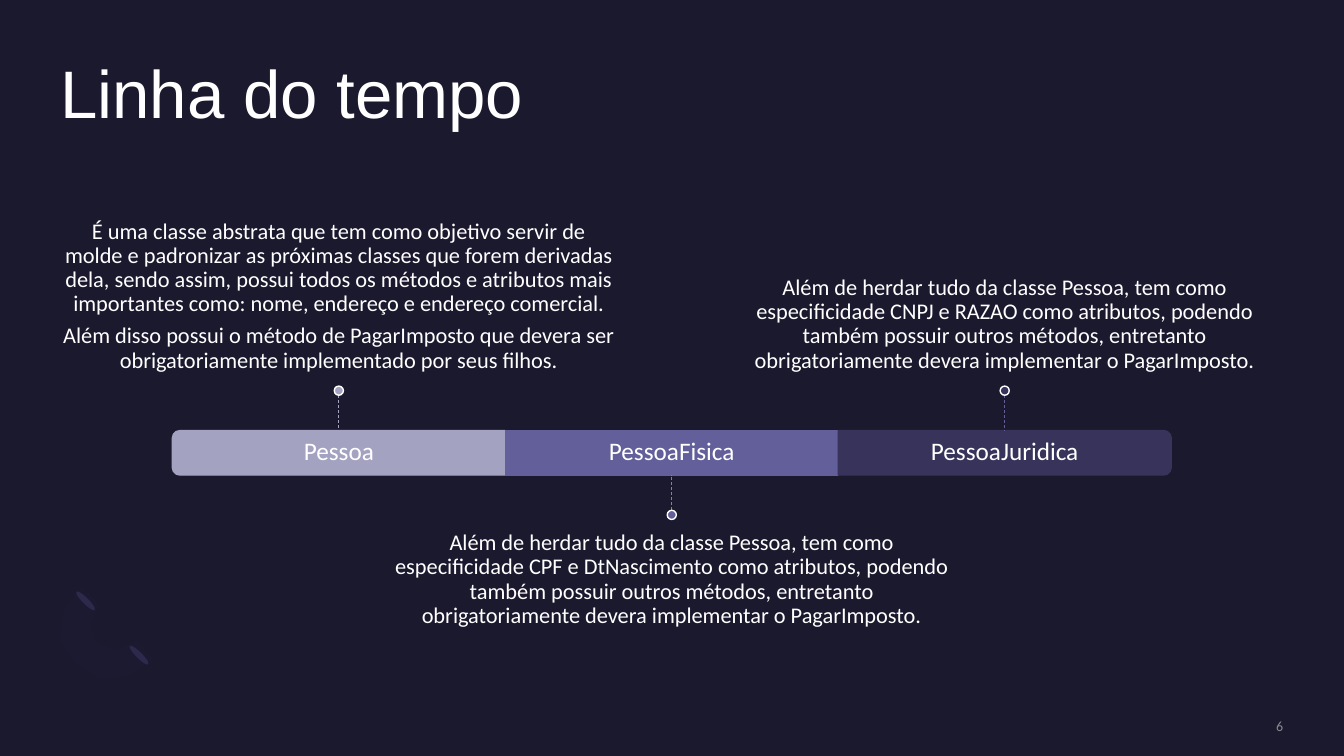
from lxml import etree
from pptx import Presentation
from pptx.dml.color import RGBColor
from pptx.enum import dml, shapes, text
from pptx.oxml import ns
from pptx.util import Cm, Pt

NAVY = RGBColor(0x1B, 0x19, 0x2E)
WHITE = RGBColor(0xFF, 0xFF, 0xFF)
GREY = RGBColor(0x8A, 0x8A, 0x8E)
LAVENDER = RGBColor(0xA3, 0xA3, 0xC1)
LILAC = RGBColor(0x81, 0x81, 0xAE)
VIOLET = RGBColor(0x62, 0x5F, 0x9A)
INDIGO = RGBColor(0x37, 0x33, 0x5B)
PETAL = RGBColor(0x2C, 0x28, 0x4A)
HAZE = RGBColor(0x77, 0x71, 0xB2)

CENTER = text.PP_ALIGN.CENTER
TOP, MIDDLE, BOTTOM = (text.MSO_ANCHOR.TOP, text.MSO_ANCHOR.MIDDLE,
                       text.MSO_ANCHOR.BOTTOM)
SHAPE = shapes.MSO_SHAPE

prs = Presentation()
prs.slide_width, prs.slide_height = Cm(33.87), Cm(19.05)
s = prs.slides.add_slide(prs.slide_layouts[5])
s.background.fill.solid()
s.background.fill.fore_color.rgb = NAVY


def write(sp, *paragraphs, size=16, font="Calibri", color=WHITE, align=CENTER,
          anchor=MIDDLE, top=0, bottom=0, spacing=0.9):
    """Fill a shape with paragraphs; top and bottom are insets in cm."""
    tf = sp.text_frame
    tf.word_wrap = True
    tf.auto_size = text.MSO_AUTO_SIZE.NONE
    tf.vertical_anchor = anchor
    tf.margin_left = tf.margin_right = 0
    tf.margin_top, tf.margin_bottom = Cm(top), Cm(bottom)
    for i, line in enumerate(paragraphs):
        p = tf.add_paragraph() if i else tf.paragraphs[0]
        p.alignment, p.line_spacing = align, spacing
        p.space_before, p.space_after = Pt(0), Pt(5.6)
        r = p.add_run()
        r.text = line
        r.font.size, r.font.name = Pt(size), font
        r.font.color.rgb = color


def paint(sp, fill, line=None):
    sp.shadow.inherit = False
    sp.fill.solid()
    sp.fill.fore_color.rgb = fill
    if line is None:
        sp.line.fill.background()
    else:
        sp.line.color.rgb = line
        sp.line.width = Pt(1)


# Corner ornament
for x, y in ((3.43, 16.18), (2.08, 14.81)):
    petal = s.shapes.add_shape(SHAPE.OVAL, Cm(x), Cm(y), Cm(0.15), Cm(0.66))
    petal.rotation = 135
    paint(petal, PETAL)

ARC = [(2.06, 14.78), (1.6, 15.4), (1.53, 16.15), (1.93, 16.74), (2.55, 17.12),
       (3.25, 17.02), (3.86, 16.61), (3.43, 16.15), (2.95, 16.4), (2.44, 16.21),
       (2.27, 15.75), (2.51, 15.24)]
fb = s.shapes.build_freeform(Cm(ARC[0][0]), Cm(ARC[0][1]))
fb.add_line_segments([(Cm(x), Cm(y)) for x, y in ARC[1:]], close=True)
haze = fb.convert_to_shape()
paint(haze, HAZE)
rgb = haze._element.spPr.find(".//" + ns.qn("a:srgbClr"))
etree.SubElement(rgb, ns.qn("a:alpha"), val="2000")

title = s.shapes.title
title.left, title.top, title.width, title.height = Cm(1.52), Cm(1.52), Cm(30.81), Cm(3.71)
write(title, "Linha do tempo", size=48, font="Arial", align=text.PP_ALIGN.LEFT, anchor=TOP)

# Timeline: name, bar colour, stem colour, rotation of the rounded end, above the bar?, text
STAGES = [
    ("Pessoa", LAVENDER, LAVENDER, 270, True, [
        "É uma classe abstrata que tem como objetivo servir de molde e padronizar as "
        "próximas classes que forem derivadas dela, sendo assim, possui todos os métodos "
        "e atributos mais importantes como: nome, endereço e endereço comercial.",
        "Além disso possui o método de PagarImposto que devera ser obrigatoriamente "
        "implementado por seus filhos."]),
    ("PessoaFisica", VIOLET, LILAC, None, False, [
        "Além de herdar tudo da classe Pessoa, tem como especificidade CPF e DtNascimento "
        "como atributos, podendo também possuir outros métodos, entretanto "
        "obrigatoriamente devera implementar o PagarImposto."]),
    ("PessoaJuridica", INDIGO, VIOLET, 90, True, [
        "Além de herdar tudo da classe Pessoa, tem como especificidade CNPJ e RAZAO como "
        "atributos, podendo também possuir outros métodos, entretanto obrigatoriamente "
        "devera implementar o PagarImposto."]),
]
FIRST_X, BAR_W, BAR_H, BAR_Y = 8.54, 8.39, 1.12, 10.85
STEM, DOT, TEXT_W, TEXT_H = 0.89, 0.23, 14, 3.86

for i, (name, color, stem_color, turn, above, notes) in enumerate(STAGES):
    cx, cy = FIRST_X + i * BAR_W, BAR_Y + BAR_H / 2
    kind, w, h = SHAPE.RECTANGLE, BAR_W, BAR_H
    if turn:
        kind, w, h = SHAPE.ROUND_2_SAME_RECTANGLE, BAR_H, BAR_W
    bar = s.shapes.add_shape(kind, Cm(cx - w / 2), Cm(cy - h / 2), Cm(w), Cm(h))
    bar.rotation = turn or 0
    paint(bar, color, color)
    label = s.shapes.add_textbox(Cm(cx - BAR_W / 2), Cm(BAR_Y), Cm(BAR_W), Cm(BAR_H))
    write(label, name, size=18)

    if above:
        near, far = BAR_Y, BAR_Y - STEM
        dot_y, text_y = far - DOT, 5.87
    else:
        near, far = BAR_Y + BAR_H, BAR_Y + BAR_H + STEM
        dot_y, text_y = far, 13.06
    note = s.shapes.add_textbox(Cm(cx - TEXT_W / 2), Cm(text_y), Cm(TEXT_W), Cm(TEXT_H))
    write(note, *notes, anchor=BOTTOM if above else TOP,
          top=0 if above else 0.33, bottom=0.33 if above else 0)

    stem = s.shapes.add_connector(shapes.MSO_CONNECTOR.STRAIGHT,
                                  Cm(cx), Cm(far), Cm(cx), Cm(near))
    stem.line.color.rgb, stem.line.width = stem_color, Pt(0.5)
    stem.line.dash_style = dml.MSO_LINE.DASH
    etree.SubElement(stem._element.spPr, ns.qn("a:effectLst"))
    dot = s.shapes.add_shape(SHAPE.OVAL, Cm(cx - DOT / 2), Cm(dot_y), Cm(DOT), Cm(DOT))
    paint(dot, color, WHITE)

number = s.shapes.add_textbox(Cm(27.64), Cm(18.08), Cm(4.7), Cm(0.43))
write(number, "6", size=10, color=GREY, align=text.PP_ALIGN.RIGHT, spacing=1)

prs.save("out.pptx")
